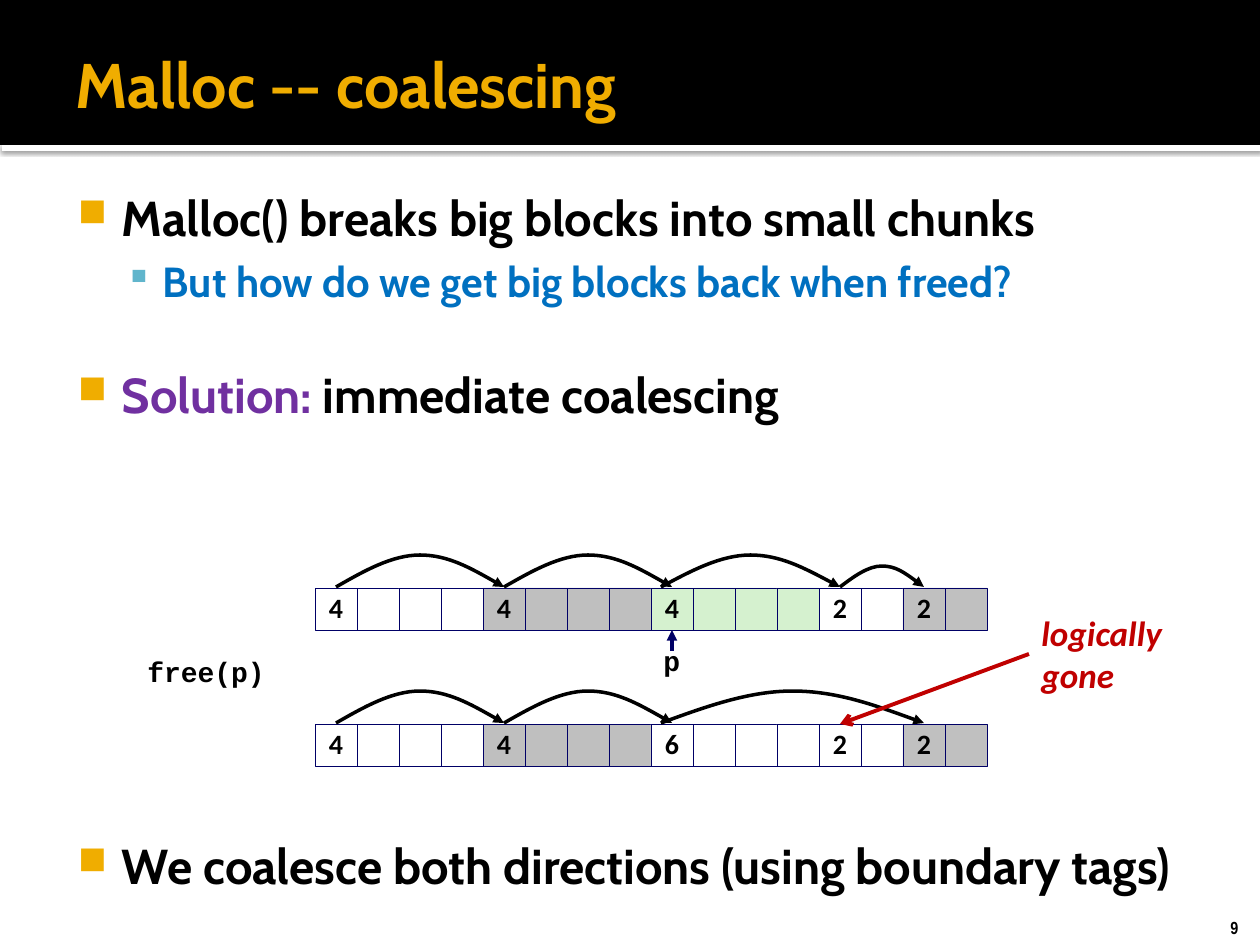
from dataclasses import dataclass

from lxml.etree import SubElement
from pptx import Presentation
from pptx.dml.color import RGBColor
from pptx.enum.shapes import MSO_CONNECTOR, MSO_SHAPE
from pptx.enum.text import MSO_ANCHOR, PP_ALIGN
from pptx.oxml.ns import qn
from pptx.util import Pt


@dataclass(frozen=True)
class Theme:
    black: str = "000000"
    white: str = "FFFFFF"
    gold: str = "F0AD00"
    teal: str = "60B5CC"
    blue: str = "0070C0"
    purple: str = "7030A0"
    red: str = "C00000"
    navy: str = "000066"
    gray: str = "BFBFBF"
    silver: str = "C0C0C0"
    green: str = "D5F1CF"
    heading: str = "Cabin"
    label: str = "Calibri"
    code: str = "Courier New"
    number: str = "Arial Narrow"
    title_size: int = 36
    body_size: int = 28
    sub_size: int = 24
    note_size: int = 20
    label_size: int = 16
    number_size: int = 10


theme = Theme()
PX = 914400 / 126


def px(*lengths):
    return [round(length * PX) for length in lengths]


def style_arrow(shape, color, width, head):
    """Colour a line, end it with an arrowhead and clear its shadow."""
    shape.line.color.rgb = RGBColor.from_string(color)
    shape.line.width = Pt(width)
    properties = shape.element.spPr
    SubElement(properties.find(qn("a:ln")), qn("a:tailEnd"), type=head)
    SubElement(properties, qn("a:effectLst"))


deck = Presentation()
deck.slide_width, deck.slide_height = px(1260, 945)
page = deck.slides.add_slide(deck.slide_layouts[5])
shapes = page.shapes

# Header
title = shapes.title
bar = shapes.add_shape(MSO_SHAPE.RECTANGLE, *px(2, 145, 1260, 6))
band = shapes.add_shape(MSO_SHAPE.RECTANGLE, *px(0, 0, 1260, 145))
for box, color in ((bar, theme.white), (band, theme.black)):
    box.shadow.inherit = False
    box.fill.solid()
    box.fill.fore_color.rgb = RGBColor.from_string(color)
    box.line.fill.background()
    title.element.addprevious(box.element)
shadow = SubElement(bar.element.spPr.find(qn("a:effectLst")), qn("a:outerShdw"),
                    blurRad=str(Pt(2.5)), dist=str(Pt(0.8)), dir="5400000",
                    algn="tl", rotWithShape="0")
shadow_color = SubElement(shadow, qn("a:srgbClr"), val=theme.black)
SubElement(shadow_color, qn("a:alpha"), val="60000")

title.left, title.top, title.width, title.height = px(63, 21, 1134, 124)
title.text_frame.text = "Malloc -- coalescing"
title.text_frame.vertical_anchor = MSO_ANCHOR.MIDDLE
title.text_frame.paragraphs[0].alignment = PP_ALIGN.LEFT

# Body: space before, indents, bullet, size and coloured spans of each point
body = shapes.add_textbox(*px(54, 175, 1160, 745)).text_frame
body.word_wrap = True
body.margin_left, body.margin_top = px(8, 13)
main = (60, -44, "■", theme.gold, 80, theme.body_size)
sub = (101, -38, "▪", theme.teal, 90, theme.sub_size)
points = [
    (0, main, [("Malloc() breaks big blocks into small chunks", theme.black)]),
    (5, sub, [("But how do we get big blocks back when freed?", theme.blue)]),
    (33.5, main, [("Solution:", theme.purple), (" immediate coalescing", theme.black)]),
    (235.5, main, [("We coalesce both directions (using boundary tags)", theme.black)]),
]
for index, (gap, level, spans) in enumerate(points):
    margin, indent, bullet, bullet_color, bullet_size, size = level
    para = body.add_paragraph() if index else body.paragraphs[0]
    para.space_before = Pt(gap)
    properties = para._p.get_or_add_pPr()
    properties.set("marL", str(px(margin)[0]))
    properties.set("indent", str(px(indent)[0]))
    SubElement(SubElement(properties, qn("a:buClr")), qn("a:srgbClr"), val=bullet_color)
    SubElement(properties, qn("a:buSzPct"), val=str(bullet_size * 1000))
    SubElement(properties, qn("a:buChar"), char=bullet)
    para.font.size = Pt(size)
    para.font.name = theme.heading
    para.font.bold = True
    for text, color in spans:
        span = para.add_run()
        span.text = text
        span.font.color.rgb = RGBColor.from_string(color)

# Heap before and after free(p): each block is length, fill and size label
CELL, HEAP_LEFT = 42, 315
heaps = [
    (588, [(4, theme.white, "4"), (4, theme.gray, "4"), (4, theme.green, "4"),
           (2, theme.white, "2"), (2, theme.silver, "2")],
     [(336, 504), (504, 672), (661, 840), (840, 924)]),
    (724, [(4, theme.white, "4"), (4, theme.gray, "4"), (4, theme.white, "6"),
           (2, theme.white, "2"), (2, theme.silver, "2")],
     [(336, 504), (504, 672), (661, 924)]),
]
size_cells = []
for top, blocks, jumps in heaps:
    left = HEAP_LEFT
    for length, color, size_label in blocks:
        for position in range(length):
            cell = shapes.add_shape(MSO_SHAPE.RECTANGLE, *px(left, top, CELL, CELL))
            cell.shadow.inherit = False
            cell.fill.solid()
            cell.fill.fore_color.rgb = RGBColor.from_string(color)
            cell.line.color.rgb = RGBColor.from_string(theme.navy)
            cell.line.width = Pt(0.25)
            if position == 0:
                size_cells.append((cell, size_label))
            left += CELL
    for start, end in jumps:
        span_width, base = end - start, top - 1
        rise = min(32, span_width // 4)
        heights = (rise / 2, rise, rise, rise, rise / 2, 0)
        curve = [px(start + span_width * step / 6, base - height)
                 for step, height in enumerate(heights, 1)]
        builder = shapes.build_freeform(*px(start, base))
        builder.add_line_segments(curve, close=False)
        arc = builder.convert_to_shape()
        arc.fill.background()
        style_arrow(arc, theme.black, 2, "triangle")
        # Each three straight segments become one Bezier segment
        outline = next(arc.element.iter(qn("a:path")))
        segments = outline.findall(qn("a:lnTo"))
        for first in (0, 3):
            bezier = SubElement(outline, qn("a:cubicBezTo"))
            for segment in segments[first:first + 3]:
                bezier.append(segment[0])
                outline.remove(segment)

for ends, color, width, head in (
        ((672, 651, 672, 630), theme.navy, 2, "triangle"),
        ((1029, 654, 840, 724), theme.red, 2.25, "arrow")):
    pointer = shapes.add_connector(MSO_CONNECTOR.STRAIGHT, *px(*ends))
    style_arrow(pointer, color, width, head)

# Text of labels, cells and title
labels = [(title, theme.heading, theme.title_size, theme.gold, None)]
for cell, size_label in size_cells:
    frame = cell.text_frame
    frame.text = size_label
    frame.word_wrap = False
    frame.vertical_anchor = MSO_ANCHOR.MIDDLE
    frame.paragraphs[0].alignment = PP_ALIGN.CENTER
    labels.append((cell, theme.label, theme.label_size, theme.black, 0.98))
for area, text, font, size, color, spacing in (
        ((135, 651, 144, 45), "free(p)", theme.code, theme.label_size, theme.black, 0.94),
        ((651, 640, 42, 45), "p", theme.code, theme.label_size, theme.black, 0.94),
        ((1029, 605, 146, 97), "logically\ngone", theme.label, theme.note_size, theme.red, None),
        ((1218, 911, 43, 34), "9", theme.number, theme.number_size, theme.black, None)):
    box = shapes.add_textbox(*px(*area))
    box.text_frame.text = text
    box.text_frame.word_wrap = False
    labels.append((box, font, size, color, spacing))
for box, font, size, color, spacing in labels:
    for para in box.text_frame.paragraphs:
        para.line_spacing = spacing
        para.font.name = font
        para.font.size = Pt(size)
        para.font.bold = True
        para.font.italic = color == theme.red
        para.font.color.rgb = RGBColor.from_string(color)

deck.save("out.pptx")
